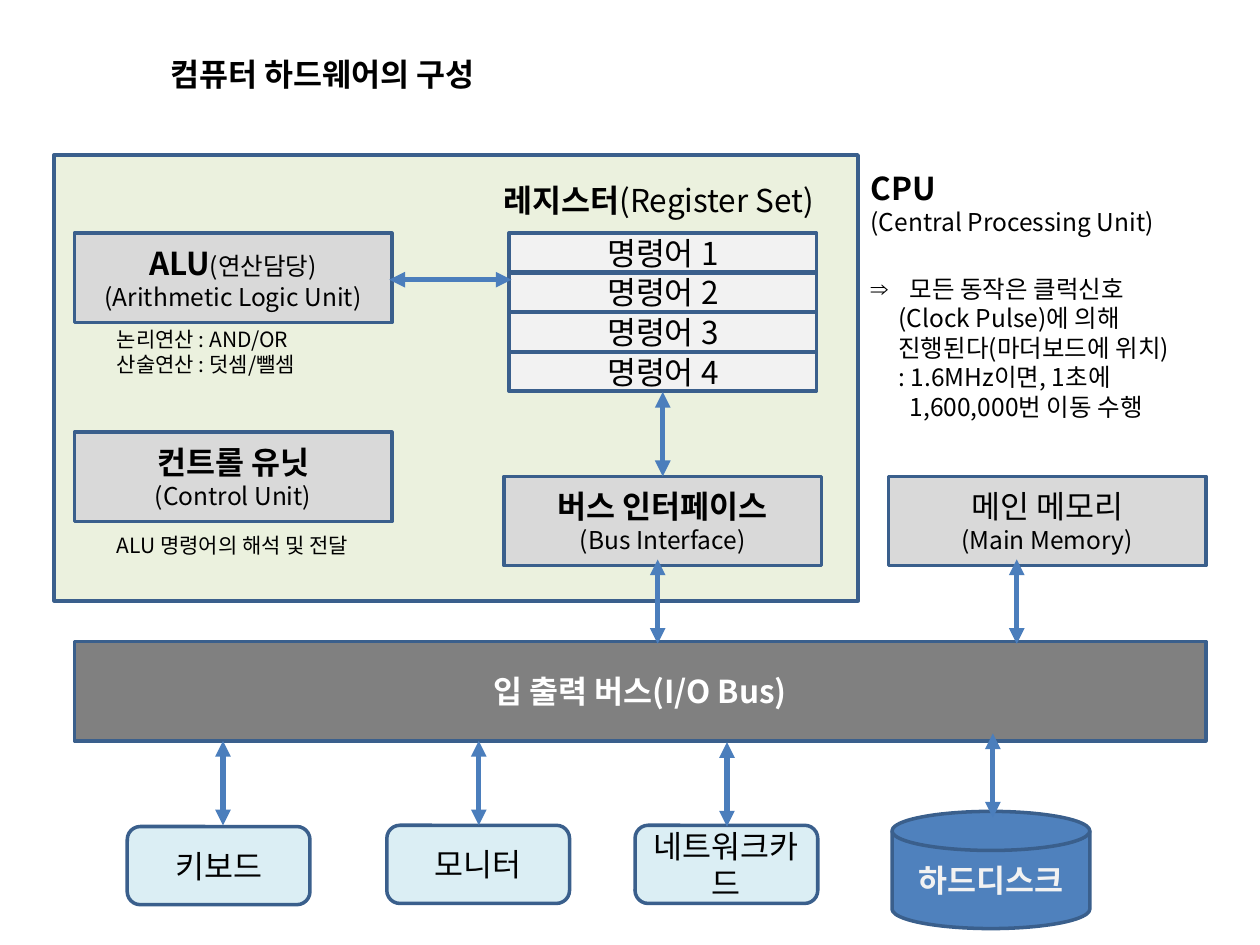
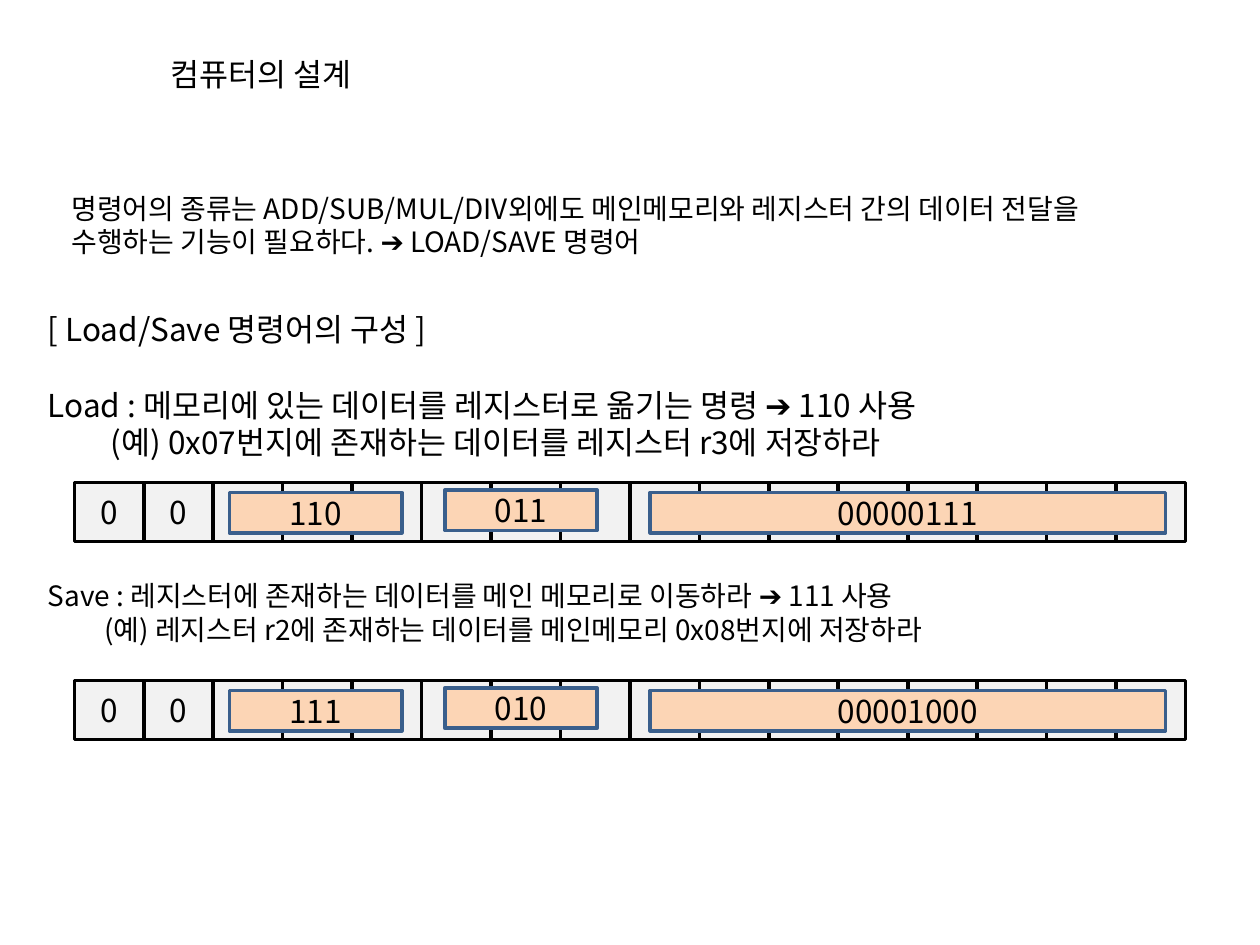
from dataclasses import dataclass

from lxml.etree import SubElement
from pptx import Presentation
from pptx.dml.color import RGBColor
from pptx.enum.shapes import MSO_CONNECTOR, MSO_SHAPE
from pptx.enum.text import MSO_ANCHOR, MSO_AUTO_SIZE, PP_ALIGN
from pptx.oxml.ns import qn
from pptx.util import Inches, Pt


@dataclass(frozen=True)
class Theme:
    font: str = "Noto Sans CJK KR"
    ink: str = "000000"
    white: str = "FFFFFF"
    outline: str = "3A5F8C"
    arrow: str = "4B7EBC"
    panel: str = "EBF1DE"
    unit: str = "D9D9D9"
    pale: str = "F2F2F2"
    bus: str = "808080"
    device: str = "DBEEF4"
    disk: str = "4F81BD"
    field: str = "FCD5B5"
    large: int = 18
    medium: int = 16
    normal: int = 14
    small: int = 12
    leading: float = 1.2


T = Theme()

# Content: a paragraph is a string or a dict; a run is (text, size, bold)
HARDWARE_TITLE = "컴퓨터 하드웨어의 구성"
DESIGN_TITLE = "컴퓨터의 설계"

UNITS = [  # left, top, paragraphs
    (0.59, 1.85, [
        dict(runs=[("ALU", T.large, True), ("(연산담당)", T.normal, False)]),
        dict(runs=[("(Arithmetic Logic Unit)", T.normal, False)])]),
    (0.59, 3.43, [
        dict(runs=[("컨트롤 유닛", T.large, True)]),
        dict(runs=[("(Control Unit)", T.normal, False)])]),
    (4, 3.78, [
        dict(runs=[("버스 인터페이스", T.large, True)]),
        dict(runs=[("(Bus Interface)", T.normal, False)])]),
    (7.05, 3.78, [
        "메인 메모리",
        dict(runs=[("(Main Memory)", T.normal, False)])]),
]
REGISTERS = ["명령어 1", "명령어 2", "명령어 3", "명령어 4"]
REGISTER_HEADING = [dict(runs=[("레지스터", T.large, True),
                               ("(Register Set)", T.large, False)])]
UNIT_NOTES = [  # box, paragraphs
    ((0.83, 2.54, 1.83, 0.5), ["논리연산 : AND/OR", "산술연산 : 덧셈/뺄셈"]),
    ((0.83, 4.18, 2.26, 0.3), ["ALU 명령어의 해석 및 전달"]),
]
CPU_TEXT = [
    dict(runs=[("CPU", T.large, True)]),
    "(Central Processing Unit)",
    dict(text="모든 동작은 클럭신호", bullet="⇒", indent=0.31,
         before=T.large * T.leading),
    dict(text="(Clock Pulse)에 의해", indent=0.22),
    dict(text="진행된다(마더보드에 위치)", indent=0.22),
    dict(text=": 1.6MHz이면, 1초에", indent=0.22),
    dict(text="1,600,000번 이동 수행", indent=0.31),
]
BUS_LABEL = "입 출력 버스(I/O Bus)"
DEVICES = [(1.01, 6.56, "키보드"), (3.07, 6.55, "모니터"), (5.04, 6.55, "네트워크카드")]
DISK_LABEL = "하드디스크"
VERTICAL_ARROWS = [(5.26, 3.11), (5.22, 4.44), (8.07, 4.44), (1.77, 5.88),
                   (3.8, 5.88), (5.77, 5.89), (7.88, 5.82)]  # x, top

INTRO = ["명령어의 종류는 ADD/SUB/MUL/DIV외에도 메인메모리와 레지스터 간의 데이터 전달을",
         "수행하는 기능이 필요하다. ➔ LOAD/SAVE 명령어"]
LOAD_SAVE = [
    "[ Load/Save 명령어의 구성 ]",
    dict(text="Load : 메모리에 있는 데이터를 레지스터로 옮기는 명령 ➔ 110 사용",
         before=T.large * T.leading),
    dict(text="(예) 0x07번지에 존재하는 데이터를 레지스터 r3에 저장하라", indent=0.5),
    dict(runs=[("Save : 레지스터에 존재하는 데이터를 메인 메모리로 이동하라 ➔ 111 사용",
                T.medium, False)], before=4 * T.normal * T.leading),
    dict(runs=[("(예) 레지스터 r2에 존재하는 데이터를 메인메모리 0x08번지에 저장하라",
                T.medium, False)], indent=0.45),
]
INSTRUCTIONS = [(3.83, ["110", "011", "00000111"]),
                (5.4, ["111", "010", "00001000"])]  # top, field values
FIELDS = [(1.82, 0.08, 1.37), (3.53, 0.06, 1.21), (5.16, 0.08, 4.09)]  # left, drop, width

# Geometry
UNIT_SIZE = (2.52, 0.71)
DEVICE_SIZE = (1.45, 0.62)
REGISTER_LEFT, REGISTER_TOP, REGISTER_PITCH = 4.04, 1.85, 0.315
BITS, WORD_LEFT, WORD_WIDTH, BIT_HEIGHT = 16, 0.59, 8.82, 0.47
ARROW_LENGTH = 0.67


# Helpers
def rgb(value):
    return RGBColor.from_string(value)


def write(tf, paragraphs, size=T.large, color=T.ink, bold=False,
          align=PP_ALIGN.LEFT, anchor=MSO_ANCHOR.TOP, wrap=True):
    """Fill a text frame with formatted paragraphs."""
    tf.auto_size = MSO_AUTO_SIZE.NONE
    tf.word_wrap = wrap
    tf.vertical_anchor = anchor
    for i, item in enumerate(paragraphs):
        spec = dict(text=item) if isinstance(item, str) else item
        runs = spec.get("runs") or [(spec["text"], size, bold)]
        p = tf.paragraphs[0] if i == 0 else tf.add_paragraph()
        pPr = p._p.get_or_add_pPr()
        indent, bullet = Inches(spec.get("indent", 0)), spec.get("bullet")
        pPr.set("marL", str(indent))
        pPr.set("indent", str(-indent if bullet else 0))
        if bullet:
            SubElement(pPr, qn("a:buChar")).set("char", bullet)
        else:
            SubElement(pPr, qn("a:buNone"))
        p.alignment = align
        p.line_spacing = Pt(T.leading * max(run[1] for run in runs))
        p.space_before = Pt(spec.get("before", 0))
        for text, run_size, run_bold in runs:
            r = p.add_run()
            r.text = text
            r.font.size, r.font.bold = Pt(run_size), run_bold
            r.font.color.rgb = rgb(color)
            r.font.name = T.font
            SubElement(r._r.get_or_add_rPr(), qn("a:ea")).set("typeface", T.font)


def add_box(s, box, fill, paragraphs=(), shape=MSO_SHAPE.RECTANGLE,
            line=T.outline, **fmt):
    sp = s.shapes.add_shape(shape, *map(Inches, box))
    sp.shadow.inherit = False
    sp.fill.solid()
    sp.fill.fore_color.rgb = rgb(fill)
    sp.line.color.rgb = rgb(line)
    sp.line.width = Pt(2)
    if paragraphs:
        write(sp.text_frame, paragraphs, align=PP_ALIGN.CENTER,
              anchor=MSO_ANCHOR.MIDDLE, **fmt)


def add_text(s, box, paragraphs, **fmt):
    sp = s.shapes.add_textbox(*map(Inches, box))
    write(sp.text_frame, paragraphs, wrap=False, **fmt)


def add_arrow(s, x1, y1, x2, y2):
    c = s.shapes.add_connector(MSO_CONNECTOR.STRAIGHT, *map(Inches, (x1, y1, x2, y2)))
    c.line.color.rgb = rgb(T.arrow)
    c.line.width = Pt(3)
    ln = c.line._get_or_add_ln()
    for end in ("a:headEnd", "a:tailEnd"):
        SubElement(ln, qn(end)).set("type", "triangle")
    SubElement(c._element.spPr, qn("a:effectLst"))


def fill_placeholder(sp, box, paragraphs, **fmt):
    sp.left, sp.top, sp.width, sp.height = map(Inches, box)
    write(sp.text_frame, paragraphs, **fmt)


def new_slide(prs, title, title_width, bold=False):
    s = prs.slides.add_slide(prs.slide_layouts[1])
    fill_placeholder(s.shapes.title, (1.25, 0.39, title_width, 0.4), [title],
                     bold=bold, wrap=False)
    return s


# Slides
def build_hardware(prs):
    s = new_slide(prs, HARDWARE_TITLE, 2.91, bold=True)
    fill_placeholder(s.placeholders[1], (6.81, 1.29, 2.95, 2.12), CPU_TEXT, size=T.normal)

    # CPU panel, units and registers
    add_box(s, (0.43, 1.23, 6.38, 3.54), T.panel)
    for left, top, label in UNITS:
        add_box(s, (left, top, *UNIT_SIZE), T.unit, label)
    for i, name in enumerate(REGISTERS):
        top = REGISTER_TOP + i * REGISTER_PITCH
        add_box(s, (REGISTER_LEFT, top, 2.44, 0.31), T.pale, [name])
    add_text(s, (3.9, 1.39, 2.73, 0.4), REGISTER_HEADING)
    for box, lines in UNIT_NOTES:
        add_text(s, box, lines, size=T.small)

    # Bus and devices
    add_box(s, (0.59, 5.09, 8.98, 0.79), T.bus, [BUS_LABEL], color=T.white, bold=True)
    for left, top, name in DEVICES:
        add_box(s, (left, top, *DEVICE_SIZE), T.device, [name],
                shape=MSO_SHAPE.ROUNDED_RECTANGLE)
    add_box(s, (7.08, 6.44, 1.57, 0.93), T.disk, [DISK_LABEL], color=T.pale,
            bold=True, shape=MSO_SHAPE.FLOWCHART_MAGNETIC_DISK)

    # Data paths
    add_arrow(s, 3.09, 2.22, 4.06, 2.22)
    for x, top in VERTICAL_ARROWS:
        add_arrow(s, x, top + ARROW_LENGTH, x, top)


def build_design(prs):
    s = new_slide(prs, DESIGN_TITLE, 1.81)
    fill_placeholder(s.placeholders[1], (0.28, 2.41, 8.2, 3.03), LOAD_SAVE, wrap=False)
    add_text(s, (0.47, 1.47, 8.94, 0.64), INTRO, size=T.medium)

    # Instruction words: sixteen bits with three fields on top
    pitch = WORD_WIDTH / BITS
    for top, values in INSTRUCTIONS:
        for bit in range(BITS):
            add_box(s, (WORD_LEFT + bit * pitch, top, pitch, BIT_HEIGHT), T.pale,
                    ["0"] if bit < 2 else [], line=T.ink)
        for (left, drop, width), value in zip(FIELDS, values):
            add_box(s, (left, top + drop, width, 0.32), T.field, [value])


def main():
    prs = Presentation()
    prs.slide_width, prs.slide_height = Inches(10), Inches(7.5)
    build_hardware(prs)
    build_design(prs)
    prs.save("out.pptx")


if __name__ == "__main__":
    main()
